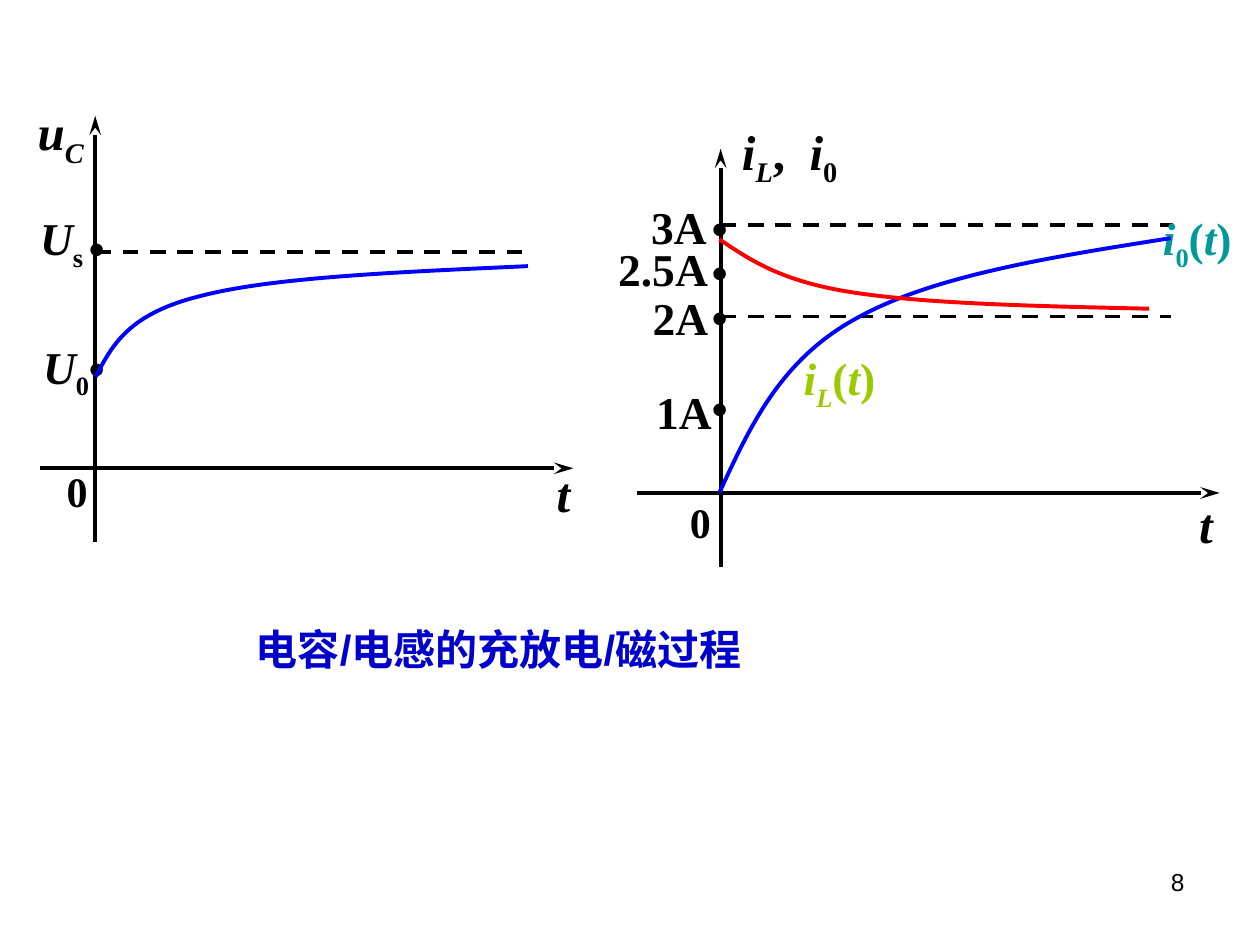
import pptx
import pptx.dml.color
import pptx.enum.dml
import pptx.enum.shapes
import pptx.enum.text
import pptx.oxml
import pptx.oxml.ns
import pptx.util

Pt = pptx.util.Pt

COLOURS = {
    "ink": "000000",
    "blue": "0000FF",
    "red": "FF0000",
    "caption": "0000CC",
    "green": "99CC00",
    "teal": "009999",
}

CAPTION = "电容/电感的充放电/磁过程"
PAGE_NUMBER = "8"

# Label: runs as (text, style), left, top, width, size, colour
# Styles: i = italic, s = subscript, w = widely spaced
PLOTS = [
    {   # Capacitor voltage
        "axis_x": 54.4, "axis_y": 267.6,
        "vertical": (309.6, 66.2), "horizontal": (23, 327.6),
        "dashes": [(143.8, 301.7)],
        "dot_x": 55.9, "dots": [143, 211.4],
        "labels": [
            ([("0", "")], 31, 262.4, 30, 24, "ink"),
            ([("u", "i"), ("C", "is")], 14.4, 54.7, 60, 28, "ink"),
            ([("t", "i")], 311, 261.4, 26, 28, "ink"),
            ([("U", "i"), ("s", "s")], 15.8, 116.6, 48, 26, "ink"),
            ([("U", "i"), ("0", "s")], 17.5, 190.1, 48, 26, "ink"),
        ],
        "curves": [
            ("blue", [(54.7, 215.3), (64.1, 197.3), (73.4, 179.3), (114.5, 169.2),
                      (155.5, 158.4), (228.2, 155.5), (301.7, 152.1)]),
        ],
    },
    {   # Inductor current and total current
        "axis_x": 411.8, "axis_y": 281.7,
        "vertical": (324, 85), "horizontal": (364.3, 697),
        "dashes": [(128.8, 670.3), (180.9, 668.9)],
        "dot_x": 411.8, "dots": [131.4, 156.7, 182.3, 234.3],
        "labels": [
            ([("0", "")], 387.2, 280.1, 30, 24, "ink"),
            ([("i", "i"), ("L", "is"), (", ", "w"), ("i", "i"), ("0", "s")],
             416.9, 65.8, 107, 28, "ink"),
            ([("t", "i")], 678.2, 278.9, 26, 28, "ink"),
            ([("3A", "")], 365, 110.2, 50, 26, "ink"),
            ([("2.5A", "")], 346.1, 134.2, 96, 26, "ink"),
            ([("2A", "")], 365.8, 162, 50, 26, "ink"),
            ([("1A", "")], 367.9, 216, 50, 26, "ink"),
            ([("i", "i"), ("L", "is"), ("(", ""), ("t", "i"), (")", "")],
             452.2, 196.6, 108, 26, "green"),
            ([("i", "i"), ("0", "s"), ("(", ""), ("t", "i"), (")", "")],
             657.4, 116.6, 60, 26, "teal"),
        ],
        "curves": [
            ("blue", [(411.1, 281.5), (428.4, 244.1), (445.7, 205.9), (488.9, 182.2),
                      (532.1, 157.7), (600.5, 146.9), (668.9, 136.1)]),
            ("red", [(411.1, 136.8), (428.4, 148.3), (445.7, 160.6), (486.7, 167),
                     (527.8, 173.5), (592.6, 175), (656.6, 176.4)]),
        ],
    },
]

LINE_WIDTH = 2.25
DOT_SIZE = 44
DOT_OFFSET = (12.7, 44.4)  # from box corner to the middle of the dot


def rgb(name):
    return pptx.dml.color.RGBColor.from_string(COLOURS[name])


def style_font(paragraph, name, size, colour, bold=True):
    paragraph.font.name = name
    paragraph.font.size = Pt(size)
    paragraph.font.bold = bold
    paragraph.font.color.rgb = rgb(colour)


def new_element(tag, **attributes):
    element = pptx.oxml.parse_xml(f"<a:{tag} {pptx.oxml.ns.nsdecls('a')}/>")
    for key, value in attributes.items():
        element.set(key, value)
    return element


def add_line(slide, start, end, dashed=False):
    line = slide.shapes.add_connector(
        pptx.enum.shapes.MSO_CONNECTOR.STRAIGHT, *map(Pt, start + end))
    line.line.width = Pt(LINE_WIDTH)
    line.line.color.rgb = rgb("ink")
    if dashed:
        line.line.dash_style = pptx.enum.dml.MSO_LINE.DASH
    else:
        line.line._get_or_add_ln().append(
            new_element("tailEnd", type="stealth", w="med", len="lg"))
    line._element.spPr.append(new_element("effectLst"))


def add_label(slide, runs, left, top, width, size, colour):
    box = slide.shapes.add_textbox(Pt(left), Pt(top), Pt(width), Pt(size * 1.5))
    box.text_frame.word_wrap = True
    paragraph = box.text_frame.paragraphs[0]
    style_font(paragraph, "Times New Roman", size, colour)
    for text, style in runs:
        run = paragraph.add_run()
        run.text = text
        if "i" in style:
            run.font.italic = True
        if "s" in style:
            run._r.get_or_add_rPr().set("baseline", "-25000")
        if "w" in style:
            run._r.get_or_add_rPr().set("spc", "350")


def add_curve(slide, colour, controls):
    points = [(Pt(x), Pt(y)) for x, y in controls]
    builder = slide.shapes.build_freeform(*points[0])
    builder.add_line_segments(points[1:], close=False)
    curve = builder.convert_to_shape()
    # Each three segments become one cubic Bezier segment
    segments = list(curve._element.iter(pptx.oxml.ns.qn("a:lnTo")))
    for first in range(0, len(segments), 3):
        bezier = new_element("cubicBezTo")
        segments[first].addprevious(bezier)
        for segment in segments[first:first + 3]:
            bezier.append(segment[0])
            segment.getparent().remove(segment)
    curve.shadow.inherit = False
    curve.fill.background()
    curve.line.width = Pt(LINE_WIDTH)
    curve.line.color.rgb = rgb(colour)


def add_plot(slide, plot):
    x, y = plot["axis_x"], plot["axis_y"]
    bottom, top = plot["vertical"]
    left, right = plot["horizontal"]
    add_line(slide, (x, bottom), (x, top))
    add_line(slide, (left, y), (right, y))
    for level, end in plot["dashes"]:
        add_line(slide, (x, level), (end, level), dashed=True)
    for label in plot["labels"]:
        add_label(slide, *label)
    for level in plot["dots"]:
        add_label(slide, [(".", "")], plot["dot_x"] - DOT_OFFSET[0],
                  level - DOT_OFFSET[1], 28, DOT_SIZE, "ink")
    for colour, controls in plot["curves"]:
        add_curve(slide, colour, controls)


def main():
    deck = pptx.Presentation()
    deck.slide_width, deck.slide_height = Pt(720), Pt(540)
    slide = deck.slides.add_slide(deck.slide_layouts[5])

    # Caption
    caption = slide.shapes.title
    caption.left, caption.top, caption.width, caption.height = map(Pt, (139, 338.1, 408, 50.4))
    frame = caption.text_frame
    frame.text = CAPTION
    frame.auto_size = pptx.enum.text.MSO_AUTO_SIZE.NONE
    frame.vertical_anchor = pptx.enum.text.MSO_ANCHOR.TOP
    frame.paragraphs[0].alignment = pptx.enum.text.PP_ALIGN.LEFT
    frame.paragraphs[0].line_spacing = 1.5
    style_font(frame.paragraphs[0], "Arial", 24, "caption")

    # Plots
    for plot in PLOTS:
        add_plot(slide, plot)

    # Page number
    number = slide.shapes.add_textbox(Pt(516.2), Pt(491.8), Pt(167.8), Pt(37.4))
    number.text_frame.word_wrap = True
    number.text_frame.text = PAGE_NUMBER
    number.text_frame.paragraphs[0].alignment = pptx.enum.text.PP_ALIGN.RIGHT
    style_font(number.text_frame.paragraphs[0], "Arial", 14, "ink", bold=False)

    deck.save("out.pptx")


if __name__ == "__main__":
    main()
